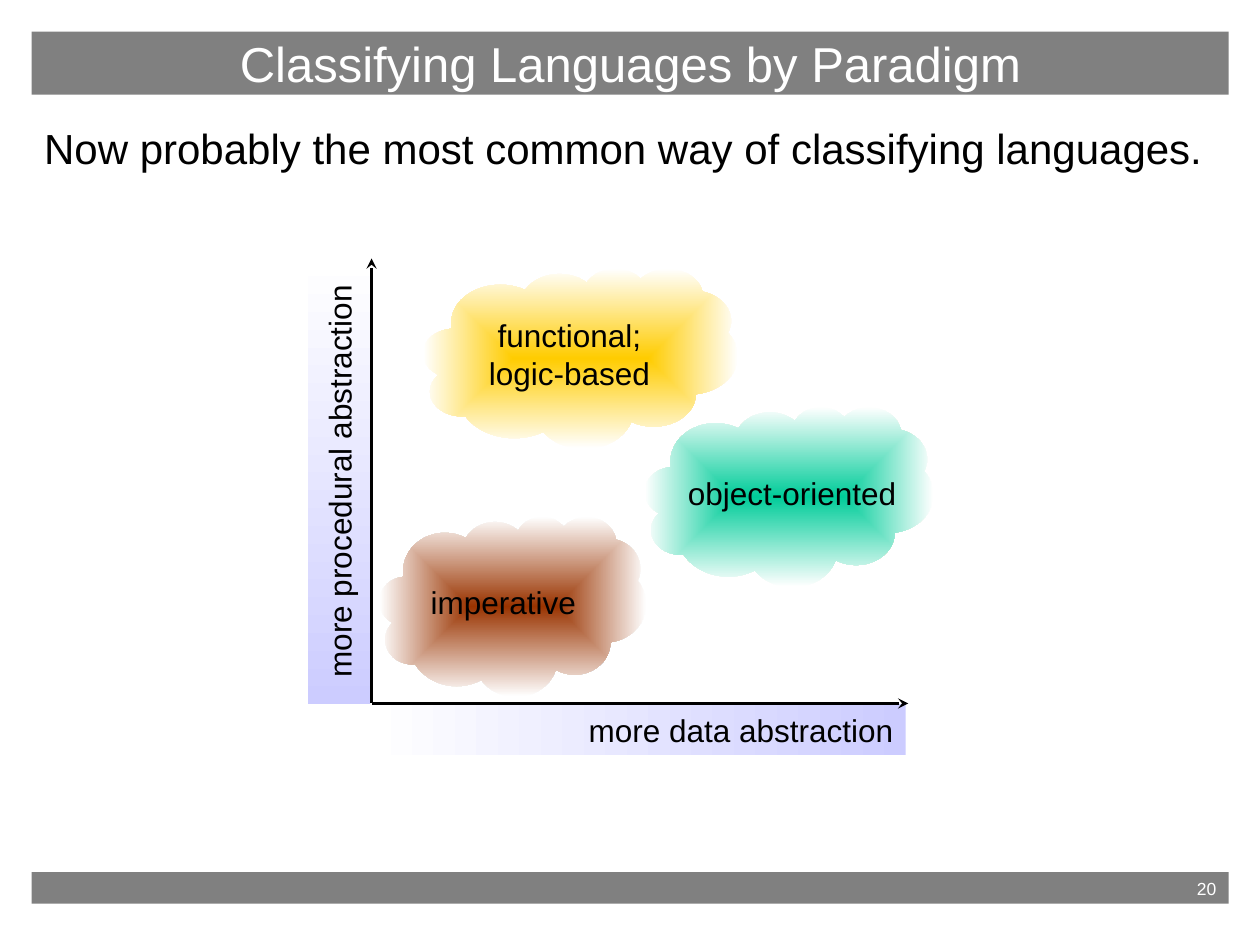
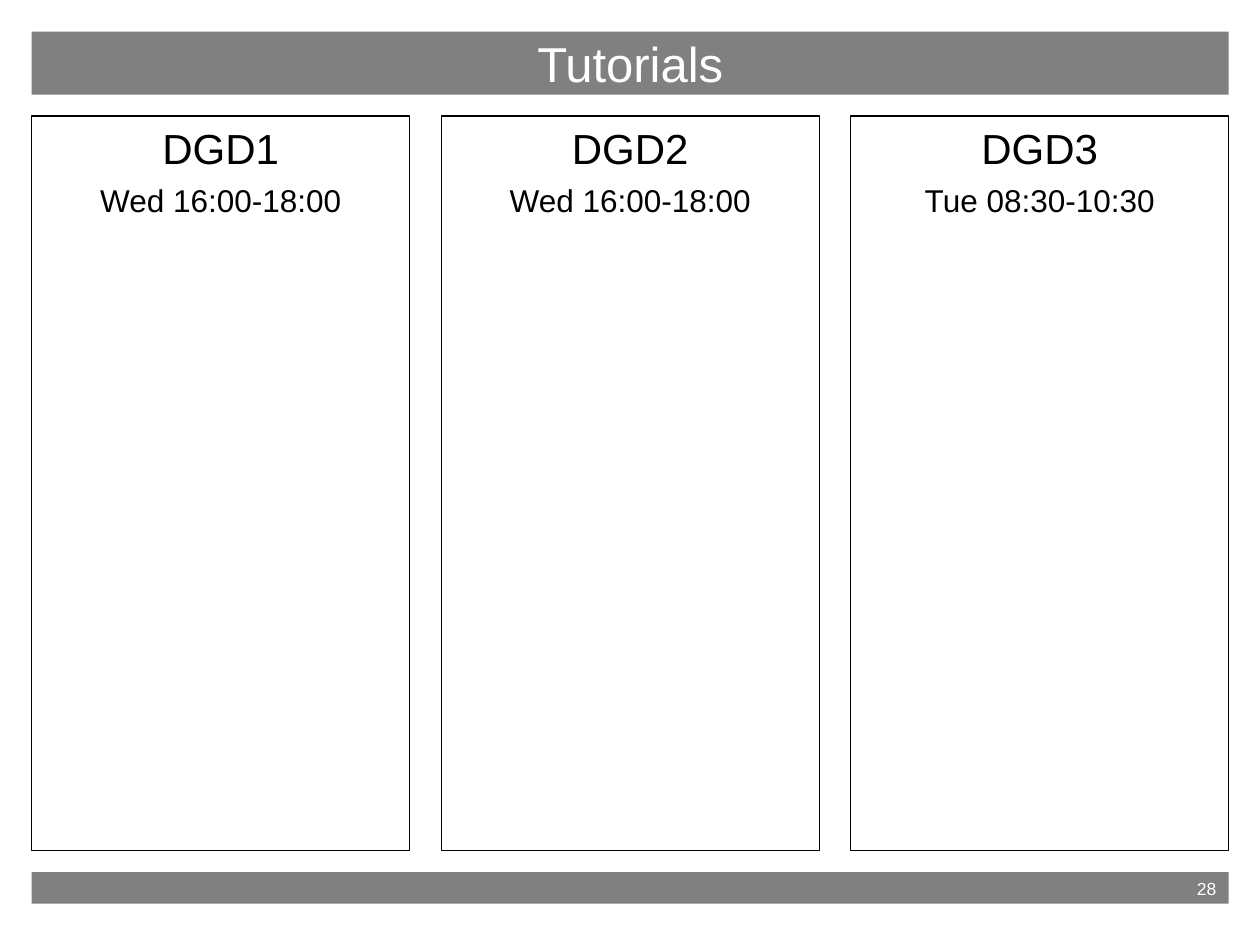
from lxml import etree
from pptx import Presentation
from pptx.dml.color import RGBColor
from pptx.enum.shapes import MSO_CONNECTOR, MSO_SHAPE
from pptx.enum.text import MSO_ANCHOR, PP_ALIGN
from pptx.oxml.ns import qn
from pptx.util import Cm, Pt

RECT, CLOUD = MSO_SHAPE.RECTANGLE, MSO_SHAPE.CLOUD
LINE = MSO_CONNECTOR.STRAIGHT
TOP, MID = MSO_ANCHOR.TOP, MSO_ANCHOR.MIDDLE
LEFT, MIDST, RIGHT = PP_ALIGN.LEFT, PP_ALIGN.CENTER, PP_ALIGN.RIGHT

HUES = {
    "ink": "000000",
    "paper": "FFFFFF",
    "band": "808080",
    "axis": "CCCCFF",
    "gold": "FFCC00",
    "green": "00CC99",
    "rust": "993300",
}
FACE = "Arial"
HEAD = (0.64, 0.64, 24.13, 1.27)
BODY = (0.64, 2.34, 24.13, 14.81)
FOOT = (0.64, 17.58, 24.13, 0.64)
PLOT = (6.2, 5.21, 12.11, 10.01)

STYLES = {
    "title": {"size": 28, "hue": "paper", "para": {"alignment": MIDST}},
    "page": {"size": 10, "hue": "paper", "para": {"alignment": RIGHT}},
    "lead": {"size": 24, "hue": "ink",
             "para": {"alignment": LEFT, "space_before": Pt(6)}},
    "group": {"size": 24, "hue": "ink",
              "para": {"alignment": MIDST, "space_before": Pt(6)}},
    "time": {"size": 18, "hue": "ink",
             "para": {"alignment": MIDST, "space_before": Pt(4.5)}},
    "label": {"size": 18, "hue": "ink", "para": {"alignment": MIDST}},
    "end": {"size": 18, "hue": "ink", "para": {"alignment": RIGHT}},
}


def tint(name):
    return RGBColor.from_string(HUES[name])


def apply(item, values):
    for key, value in values.items():
        setattr(item, key, value)


def shift(box, part):
    return box[0] + part[0], box[1] + part[1], part[2], part[3]


def write(shape, lines, **frame):
    text = shape.text_frame
    apply(text, {
        "word_wrap": True,
        "vertical_anchor": TOP,
        "margin_left": Cm(0.25),
        "margin_right": Cm(0.25),
        "margin_top": Cm(0.13),
        "margin_bottom": Cm(0.13),
        **frame,
    })
    for i, (words, name) in enumerate(lines):
        style = STYLES[name]
        para = text.add_paragraph() if i else text.paragraphs[0]
        apply(para, style["para"])
        run = para.add_run()
        run.text = words
        apply(run.font, {"name": FACE, "size": Pt(style["size"])})
        run.font.color.rgb = tint(style["hue"])


def draw(slide, kind, box, fill=None, edge=None):
    shape = slide.shapes.add_shape(kind, *map(Cm, box))
    shape.shadow.inherit = False
    if fill:
        shape.fill.solid()
        shape.fill.fore_color.rgb = tint(fill)
    else:
        shape.fill.background()
    if edge:
        shape.line.color.rgb = tint(edge)
        shape.line.width = Pt(0.75)
    else:
        shape.line.fill.background()
    return shape


def fade(shape, hue, angle=None):
    fill = shape.fill
    fill.gradient()
    for stop, name in zip(fill.gradient_stops, (hue, "paper")):
        stop.color.rgb = tint(name)
    if angle is not None:
        fill.gradient_angle = angle
        return
    grad = shape._element.spPr.find(qn("a:gradFill"))
    grad.remove(grad.find(qn("a:lin")))
    route = etree.SubElement(grad, qn("a:path"), {"path": "rect"})
    sides = dict.fromkeys("ltrb", "50000")
    etree.SubElement(route, qn("a:fillToRect"), sides)


def arrow(slide, start, end):
    line = slide.shapes.add_connector(LINE, *map(Cm, start + end))
    line.line.color.rgb = tint("ink")
    line.line.width = Pt(1.5)
    etree.SubElement(line.line._get_or_add_ln(), qn("a:tailEnd"),
                     {"type": "stealth"})
    etree.SubElement(line._element.spPr, qn("a:effectLst"))


def cloud(slide, box, hue, words, pad=0.25):
    shape = draw(slide, CLOUD, box)
    fade(shape, hue)
    write(shape, [(word, "label") for word in words], word_wrap=False,
          vertical_anchor=MID, margin_left=Cm(pad))


def plot(slide, box):
    cloud(slide, shift(box, (6.8, 2.99, 5.82, 3.63)), "green",
          ["object-oriented"], 0.78)
    cloud(slide, shift(box, (2.33, 0.2, 6.35, 3.63)), "gold",
          ["functional;", "logic-based"])
    cloud(slide, shift(box, (1.45, 5.2, 5.38, 3.63)), "rust",
          ["imperative"])

    high = 8.99
    side = draw(slide, RECT, shift(box, (0, 0, 1.27, high)))
    fade(side, "axis", 90)
    write(side, [("more procedural abstraction", "label")],
          vertical_anchor=MID)
    side.text_frame._txBody.bodyPr.set("vert", "vert270")

    base = draw(slide, RECT, shift(box, (1.24, high, 10.82, 1.02)))
    fade(base, "axis", 180)
    write(base, [("more data abstraction", "end")])

    left, top, wide, _ = box
    zero = (left + 1.29, top + high - 0.02)
    arrow(slide, zero, (zero[0], top))
    arrow(slide, zero, (left + wide, zero[1]))


def groups(slide, box, items):
    left, top, wide, high = box
    size = 7.62
    step = (wide - size) / (len(items) - 1)
    for i, (name, time) in enumerate(items):
        card = draw(slide, RECT, (left + i * step, top, size, high),
                    edge="ink")
        write(card, [(name, "group"), (time, "time")])


def page(deck, title, number):
    slide = deck.slides.add_slide(deck.slide_layouts[6])
    write(draw(slide, RECT, HEAD, "band"), [(title, "title")],
          vertical_anchor=MID)
    write(draw(slide, RECT, FOOT, "band"), [(number, "page")])
    return slide


def main():
    deck = Presentation()
    apply(deck, {"slide_width": Cm(25.4), "slide_height": Cm(19.05)})

    slide = page(deck, "Classifying Languages by Paradigm", "20")
    lead = slide.shapes.add_textbox(*map(Cm, BODY))
    write(lead, [("Now probably the most common way of classifying "
                  "languages.", "lead")])
    plot(slide, PLOT)

    slide = page(deck, "Tutorials", "28")
    groups(slide, BODY, [
        ("DGD1", "Wed 16:00-18:00"),
        ("DGD2", "Wed 16:00-18:00"),
        ("DGD3", "Tue 08:30-10:30"),
    ])
    deck.save("out.pptx")


if __name__ == "__main__":
    main()
